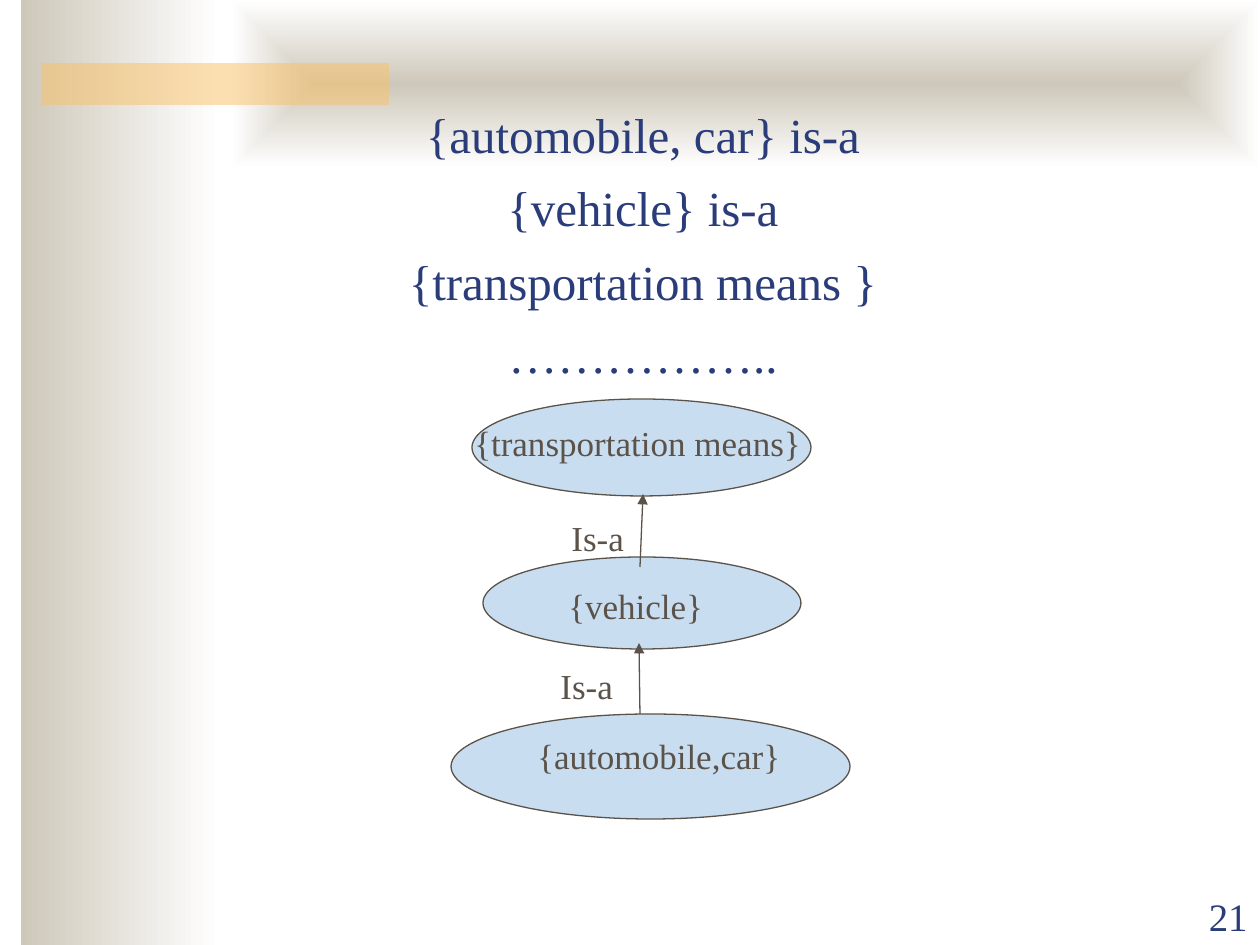
"""Build a slide showing an is-a hierarchy of word sets."""
import lxml.etree
import pptx
import pptx.dml.color
import pptx.enum.shapes
import pptx.enum.text
import pptx.oxml.ns
import pptx.util

RGBColor = pptx.dml.color.RGBColor
Shape = pptx.enum.shapes.MSO_SHAPE
Align = pptx.enum.text.PP_ALIGN
Anchor = pptx.enum.text.MSO_ANCHOR
AutoSize = pptx.enum.text.MSO_AUTO_SIZE
Pt = pptx.util.Pt
qn = pptx.oxml.ns.qn

WHITE = RGBColor(0xFF, 0xFF, 0xFF)
SAND = RGBColor(0xCE, 0xC8, 0xBA)
ORANGE = RGBColor(0xFA, 0xC1, 0x64)
NAVY = RGBColor(0x2A, 0x3D, 0x7A)
BROWN = RGBColor(0x5B, 0x52, 0x49)
SKY = RGBColor(0xC9, 0xDD, 0xF1)

SCALE = 914400 / 126
SLIDE_SIZE = (1260, 945)
FONT = "Times New Roman"

SIDE_BAND = (21, 0, 199, 945)
TOP_BAND = (231, 0, 1029, 168)
ACCENT_BAR = (42, 63, 347, 42)

CHAIN = ["{automobile, car} is-a", "{vehicle} is-a", "{transportation means }", "…………….."]
CHAIN_BOX = (95, 98, 1096, 774)
PAGE_NUMBER = "21"
PAGE_BOX = (1134, 883, 126, 63)

ELLIPSES = [(451, 714, 399, 105), (483, 557, 318, 92), (472, 399, 339, 97)]
LABELS = [
    ("{automobile,car}", (525, 728, 284, 55)),
    ("{vehicle}", (556, 578, 200, 55)),
    ("{transportation means}", (462, 415, 355, 55)),
    ("Is-a", (548, 658, 116, 55)),
    ("Is-a", (559, 510, 116, 55)),
]
ARROWS = [(640, 714, 639, 643), (640, 567, 643, 494)]

CHAIN_FORMAT = {"alignment": Align.CENTER, "space_before": Pt(8.4)}
PAGE_FORMAT = {"alignment": Align.RIGHT}
LABEL_FORMAT = {"alignment": Align.LEFT, "space_before": Pt(12.5)}
CHAIN_FONT = {"name": FONT, "size": Pt(28)}
PAGE_FONT = {"name": FONT, "size": Pt(22.2)}
LABEL_FONT = {"name": FONT, "size": Pt(20)}


def emu(lengths):
    return [round(length * SCALE) for length in lengths]


def apply(target, values):
    for name, value in values.items():
        setattr(target, name, value)


def add_shape(slide, kind, box):
    shape = slide.shapes.add_shape(kind, *emu(box))
    shape.shadow.inherit = False
    shape.line.fill.background()
    return shape


def add_gradient(slide, box):
    shape = add_shape(slide, Shape.RECTANGLE, box)
    shape.fill.gradient()
    shape.fill.gradient_angle = 0
    for stop, color in zip(shape.fill.gradient_stops, (SAND, WHITE)):
        stop.color.rgb = color
    return shape


def center_gradient(shape):
    linear = shape.element.spPr.find(".//" + qn("a:lin"))
    gradient = linear.getparent()
    center = lxml.etree.Element(qn("a:path"), {"path": "rect"})
    sides = dict.fromkeys("ltrb", "50000")
    lxml.etree.SubElement(center, qn("a:fillToRect"), sides)
    gradient.replace(linear, center)


def add_accent(slide):
    shape = add_shape(slide, Shape.RECTANGLE, ACCENT_BAR)
    shape.fill.solid()
    shape.fill.fore_color.rgb = ORANGE
    color = shape.element.spPr.find(".//" + qn("a:srgbClr"))
    lxml.etree.SubElement(color, qn("a:alpha"), val="50000")


def add_ellipse(slide, box):
    shape = add_shape(slide, Shape.OVAL, box)
    shape.fill.solid()
    shape.fill.fore_color.rgb = SKY
    shape.line.color.rgb = BROWN
    shape.line.width = Pt(0.75)


def add_text(slide, lines, box, color, paragraph_format, font_format, frame_format):
    frame = slide.shapes.add_textbox(*emu(box)).text_frame
    apply(frame, {"word_wrap": True, **frame_format})
    frame.text = "\n".join(lines)
    for paragraph in frame.paragraphs:
        apply(paragraph, paragraph_format)
        font = paragraph.runs[0].font
        apply(font, font_format)
        font.color.rgb = color


def add_arrow(slide, ends):
    straight = pptx.enum.shapes.MSO_CONNECTOR.STRAIGHT
    arrow = slide.shapes.add_connector(straight, *emu(ends))
    arrow.line.color.rgb = BROWN
    arrow.line.width = Pt(0.75)
    lxml.etree.SubElement(arrow.line._get_or_add_ln(), qn("a:tailEnd"), type="triangle")
    lxml.etree.SubElement(arrow.element.spPr, qn("a:effectLst"))


def main():
    presentation = pptx.Presentation()
    presentation.slide_width, presentation.slide_height = emu(SLIDE_SIZE)
    slide = presentation.slides.add_slide(presentation.slide_layouts[6])

    add_gradient(slide, SIDE_BAND)
    center_gradient(add_gradient(slide, TOP_BAND))
    add_accent(slide)
    add_text(slide, [PAGE_NUMBER], PAGE_BOX, NAVY, PAGE_FORMAT, PAGE_FONT,
             {"vertical_anchor": Anchor.BOTTOM})
    add_text(slide, CHAIN, CHAIN_BOX, NAVY, CHAIN_FORMAT, CHAIN_FONT,
             {"vertical_anchor": Anchor.TOP})
    for box in ELLIPSES:
        add_ellipse(slide, box)
    for ends in ARROWS:
        add_arrow(slide, ends)
    for text, box in LABELS:
        add_text(slide, [text], box, BROWN, LABEL_FORMAT, LABEL_FONT,
                 {"auto_size": AutoSize.SHAPE_TO_FIT_TEXT})

    presentation.save("out.pptx")


if __name__ == "__main__":
    main()
